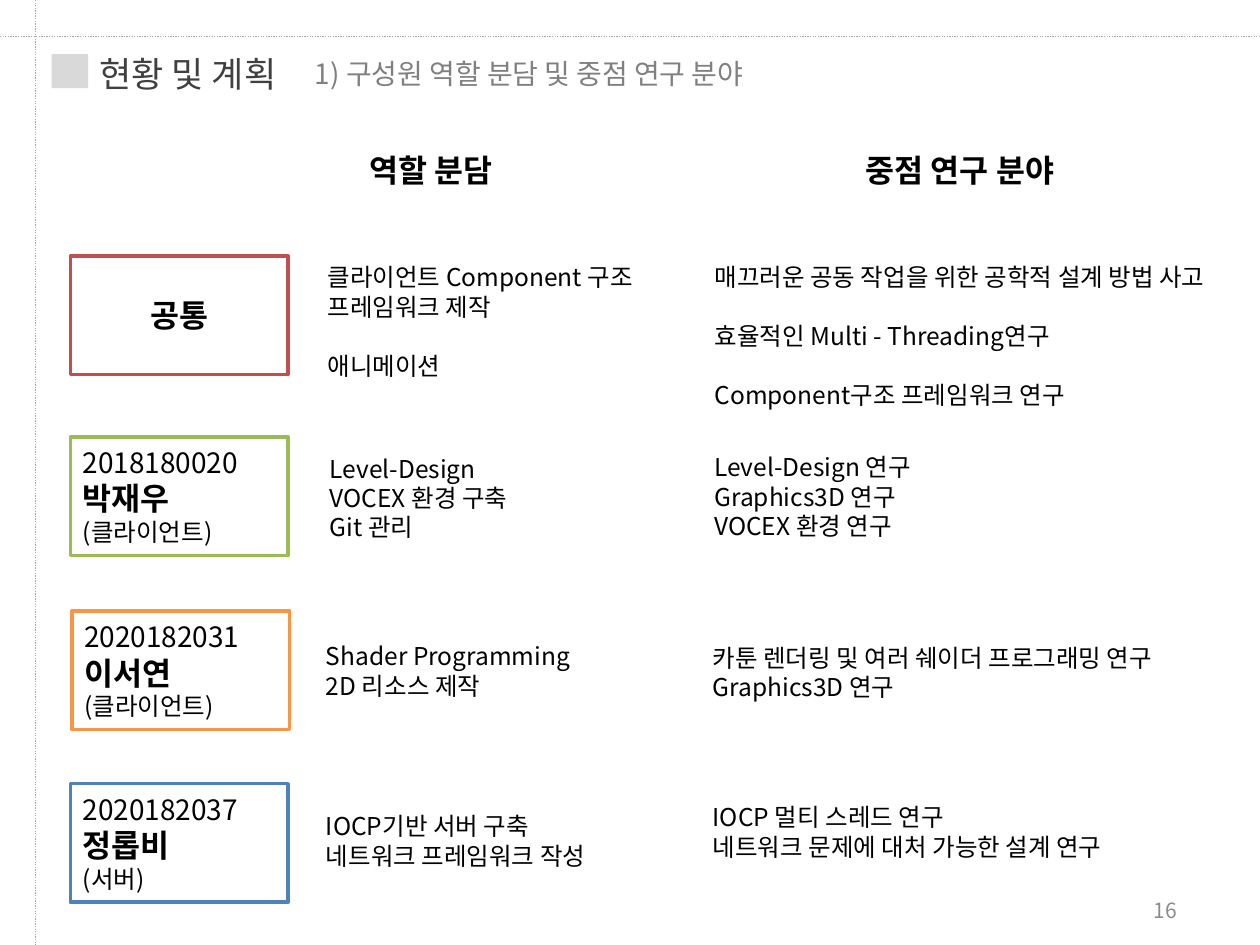
from dataclasses import dataclass
from typing import Optional

from lxml.etree import SubElement
from pptx import Presentation
from pptx.dml.color import RGBColor
from pptx.enum.dml import MSO_LINE
from pptx.enum.shapes import MSO_CONNECTOR, MSO_SHAPE
from pptx.enum.text import MSO_ANCHOR as Anchor, MSO_AUTO_SIZE, PP_ALIGN as Align
from pptx.oxml.ns import qn
from pptx.util import Cm, Pt

FONT = "Noto Sans CJK KR"
LINE_RATIO = 1.2
SLIDE_W, SLIDE_H = 25.4, 19.05


@dataclass
class Line:
    text: str
    size: float = 14
    bold: bool = False
    color: str = "000000"
    gap: bool = False  # one line of space before


@dataclass
class Block:
    left: float
    top: float
    width: float
    height: float
    lines: list[Line]
    holder: Optional[int] = None  # placeholder index, else a text box
    align: Align = Align.LEFT
    anchor: Anchor = Anchor.TOP


@dataclass
class Card:
    left: float
    top: float
    color: str
    lines: list[Line]
    align: Align = Align.LEFT


def rgb(value: str) -> RGBColor:
    return RGBColor.from_string(value)


def write(sp, lines: list[Line], align: Align, anchor: Anchor) -> None:
    tf = sp.text_frame
    tf.word_wrap = True
    tf.auto_size = MSO_AUTO_SIZE.NONE
    tf.vertical_anchor = anchor
    tf.text = "\n".join(line.text for line in lines)
    for p, line in zip(tf.paragraphs, lines):
        pitch = Pt(line.size * LINE_RATIO)
        p.alignment = align
        p.line_spacing = pitch
        p.space_before = pitch if line.gap else Pt(0)
        p_pr = p._p.get_or_add_pPr()
        p_pr.set("marL", "0")
        p_pr.set("indent", "0")
        SubElement(p_pr, qn("a:buNone"))
        for r in p.runs:
            r.font.size = Pt(line.size)
            r.font.bold = line.bold
            r.font.color.rgb = rgb(line.color)
            r.font.name = FONT
            SubElement(r._r.get_or_add_rPr(), qn("a:ea")).set("typeface", FONT)


def add_block(slide, block: Block) -> None:
    box = [Cm(v) for v in (block.left, block.top, block.width, block.height)]
    if block.holder is None:
        sp = slide.shapes.add_textbox(*box)
    else:
        sp = slide.placeholders[block.holder]
        sp.left, sp.top, sp.width, sp.height = box
    write(sp, block.lines, block.align, block.anchor)


def add_rect(slide, left: float, top: float, width: float, height: float, fill: str):
    sp = slide.shapes.add_shape(MSO_SHAPE.RECTANGLE, Cm(left), Cm(top), Cm(width), Cm(height))
    sp.shadow.inherit = False
    sp.fill.solid()
    sp.fill.fore_color.rgb = rgb(fill)
    sp.line.fill.background()
    return sp


def add_card(slide, card: Card) -> None:
    sp = add_rect(slide, card.left, card.top, 4.39, 2.39, "FFFFFF")
    sp.line.color.rgb = rgb(card.color)
    sp.line.width = Pt(2)
    write(sp, card.lines, card.align, Anchor.MIDDLE)


def add_guide(slide, x1: float, y1: float, x2: float, y2: float) -> None:
    line = slide.shapes.add_connector(MSO_CONNECTOR.STRAIGHT, Cm(x1), Cm(y1), Cm(x2), Cm(y2))
    line.line.color.rgb = rgb("A6A6A6")
    line.line.width = Pt(0.75)
    line.line.dash_style = MSO_LINE.ROUND_DOT
    SubElement(line._element.spPr, qn("a:effectLst"))


def member(number: str, name: str, part: str) -> list[Line]:
    return [Line(number, 16), Line(name, 18, True), Line(f"({part})")]


def plain(*texts: str) -> list[Line]:
    return [Line(text) for text in texts]


HEADINGS = [
    Block(1.75, 0.94, 4.93, 1.12, [Line("현황 및 계획", 20, color="404040")], 0),
    Block(6.1, 1.02, 14.61, 0.94,
          [Line("1) 구성원 역할 분담 및 중점 연구 분야", 16, color="808080")]),
    Block(7.19, 2.92, 6.2, 1.02, [Line("역할 분담", 18, True)], 1),
    Block(17.2, 2.92, 7.19, 1.02, [Line("중점 연구 분야", 18, True)], 3),
]

CARDS = [
    Card(1.42, 5.16, "C0504D", [Line("공통", 18, True)], Align.CENTER),
    Card(1.42, 8.81, "9BBB59", member("2018180020", "박재우", "클라이언트")),
    Card(1.45, 12.32, "F79646", member("2020182031", "이서연", "클라이언트")),
    Card(1.42, 15.8, "4F81BD", member("2020182037", "정롭비", "서버")),
]

ROLES = [
    Block(6.35, 5.16, 17.12, 3.43,
          plain("클라이언트 Component 구조", "프레임워크 제작") + [Line("애니메이션", gap=True)], 2),
    Block(6.4, 9.02, 17.12, 2.06, plain("Level-Design", "VOCEX 환경 구축", "Git 관리")),
    Block(6.32, 12.8, 17.12, 1.45, plain("Shader Programming", "2D 리소스 제작")),
    Block(6.32, 16.23, 17.12, 1.45, plain("IOCP기반 서버 구축", "네트워크 프레임워크 작성")),
]

RESEARCH = [
    Block(14.15, 5.16, 11.73, 3.25,
          [Line("매끄러운 공동 작업을 위한 공학적 설계 방법 사고"),
           Line("효율적인 Multi - Threading연구", gap=True),
           Line("Component구조 프레임워크 연구", gap=True)], 4),
    Block(14.15, 8.99, 17.12, 2.64,
          plain("Level-Design 연구", "Graphics3D 연구", "VOCEX 환경 연구")),
    Block(14.12, 12.83, 17.12, 2.06,
          plain("카툰 렌더링 및 여러 쉐이더 프로그래밍 연구", "Graphics3D 연구")),
    Block(14.12, 16.05, 17.12, 1.45,
          plain("IOCP 멀티 스레드 연구", "네트워크 문제에 대처 가능한 설계 연구")),
]

PAGE_NUMBER = Block(18.06, 17.83, 5.92, 1.02, [Line("16", 12, color="8C8C8C")],
                    align=Align.RIGHT, anchor=Anchor.MIDDLE)


def main() -> None:
    prs = Presentation()
    prs.slide_width, prs.slide_height = Cm(SLIDE_W), Cm(SLIDE_H)
    slide = prs.slides.add_slide(prs.slide_layouts[4])  # Comparison

    # Guides and title marker
    add_guide(slide, 0.71, 0, 0.71, SLIDE_H)
    add_guide(slide, 0, 0.74, SLIDE_W, 0.74)
    add_rect(slide, 1.04, 1.09, 0.74, 0.69, "D9D9D9")

    # Member cards
    for card in CARDS:
        add_card(slide, card)

    # Headings, lists and page number
    for block in [*HEADINGS, *ROLES, *RESEARCH, PAGE_NUMBER]:
        add_block(slide, block)

    prs.save("out.pptx")


if __name__ == "__main__":
    main()
